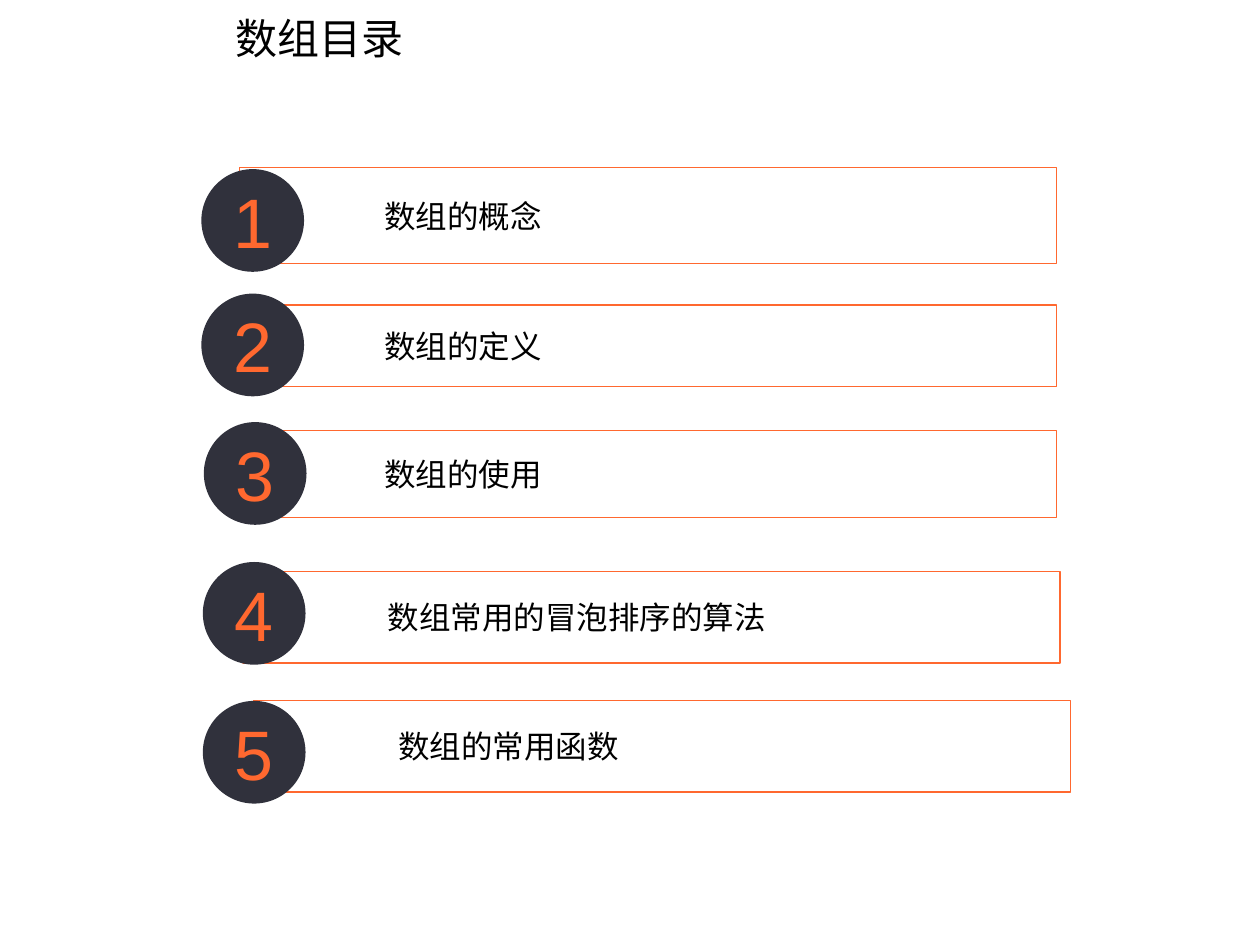
from dataclasses import dataclass

from lxml.etree import SubElement
from pptx import Presentation
from pptx.dml.color import RGBColor
from pptx.enum.shapes import MSO_SHAPE
from pptx.enum.text import MSO_ANCHOR, MSO_AUTO_SIZE, PP_ALIGN
from pptx.oxml.ns import qn
from pptx.shapes.autoshape import Shape
from pptx.slide import Slide
from pptx.util import Cm, Pt

ORANGE = RGBColor(0xFF, 0x68, 0x2F)
CHARCOAL = RGBColor(0x30, 0x31, 0x3C)
WHITE = RGBColor(0xFF, 0xFF, 0xFF)
BLACK = RGBColor(0x00, 0x00, 0x00)
LATIN_FONT = "Arial"
CHINESE_FONT = "Noto Sans CJK SC"
BAR_WIDTH = Cm(16.47)
BAR_OPACITY = 40
CIRCLE_SIZE = Cm(2.07)


@dataclass(frozen=True)
class Chapter:
    """One entry of the contents list; positions are in centimetres."""
    title: str
    bar_left: float
    bar_top: float
    bar_height: float
    circle_left: float
    circle_top: float
    font: str = CHINESE_FONT


CHAPTERS = [
    Chapter("数组的概念", 4.83, 3.38, 1.94, 4.06, 3.41, LATIN_FONT),
    Chapter("数组的定义", 4.83, 6.15, 1.65, 4.06, 5.92, LATIN_FONT),
    Chapter("数组的使用", 4.83, 8.68, 1.75, 4.11, 8.51),
    Chapter("数组常用的冒泡排序的算法", 4.9, 11.52, 1.85, 4.09, 11.33),
    Chapter("数组的常用函数", 5.11, 14.12, 1.85, 4.09, 14.13),
]


def add_text(shape: Shape, text: str, font: str, size: int, color: RGBColor,
             alignment: PP_ALIGN = PP_ALIGN.LEFT) -> None:
    paragraph = shape.text_frame.paragraphs[0]
    paragraph.alignment = alignment
    run = paragraph.add_run()
    run.text = text
    run.font.name = font
    run.font.size = Pt(size)
    run.font.color.rgb = color
    properties = run.font._element
    SubElement(properties, qn("a:ea")).set("typeface", CHINESE_FONT)


def add_filled_shape(slide: Slide, kind: MSO_SHAPE, left: int, top: int,
                     width: int, height: int, fill: RGBColor) -> Shape:
    shape = slide.shapes.add_shape(kind, left, top, width, height)
    shape.shadow.inherit = False
    shape.fill.solid()
    shape.fill.fore_color.rgb = fill
    shape.text_frame.vertical_anchor = MSO_ANCHOR.MIDDLE
    shape.text_frame.word_wrap = True
    return shape


def add_bar(slide: Slide, chapter: Chapter) -> None:
    bar = add_filled_shape(slide, MSO_SHAPE.RECTANGLE, Cm(chapter.bar_left),
                           Cm(chapter.bar_top), BAR_WIDTH,
                           Cm(chapter.bar_height), WHITE)
    color = bar.fill._xPr.find(qn("a:solidFill"))[0]
    SubElement(color, qn("a:alpha")).set("val", str(BAR_OPACITY * 1000))
    bar.line.color.rgb = ORANGE
    bar.line.width = Pt(0.75)
    frame = bar.text_frame
    frame.margin_left = Cm(1.65)
    frame.margin_top = frame.margin_right = frame.margin_bottom = Cm(0.2)
    paragraph = frame.paragraphs[0]
    paragraph.level = 1
    indents = paragraph._p.get_or_add_pPr()
    indents.set("marL", str(Cm(1.27)))
    indents.set("indent", "0")
    add_text(bar, chapter.title, chapter.font, 18, BLACK)


def add_number(slide: Slide, number: int, chapter: Chapter) -> None:
    circle = add_filled_shape(slide, MSO_SHAPE.OVAL, Cm(chapter.circle_left),
                              Cm(chapter.circle_top), CIRCLE_SIZE,
                              CIRCLE_SIZE, CHARCOAL)
    circle.line.fill.background()
    add_text(circle, str(number), LATIN_FONT, 40, ORANGE, PP_ALIGN.CENTER)


def set_title(slide: Slide, text: str) -> None:
    title = slide.shapes.title
    title.left, title.top = Cm(4.5), Cm(0.13)
    title.width, title.height = Cm(6), Cm(1.27)
    title.text_frame.vertical_anchor = MSO_ANCHOR.TOP
    title.text_frame.auto_size = MSO_AUTO_SIZE.NONE
    add_text(title, text, CHINESE_FONT, 24, BLACK)


def main() -> None:
    presentation = Presentation()
    presentation.slide_width, presentation.slide_height = Cm(25.4), Cm(19.05)
    title_only = presentation.slide_layouts[5]
    slide = presentation.slides.add_slide(title_only)
    set_title(slide, "数组目录")
    for number, chapter in enumerate(CHAPTERS, start=1):
        add_bar(slide, chapter)
        add_number(slide, number, chapter)
    presentation.save("out.pptx")


if __name__ == "__main__":
    main()
